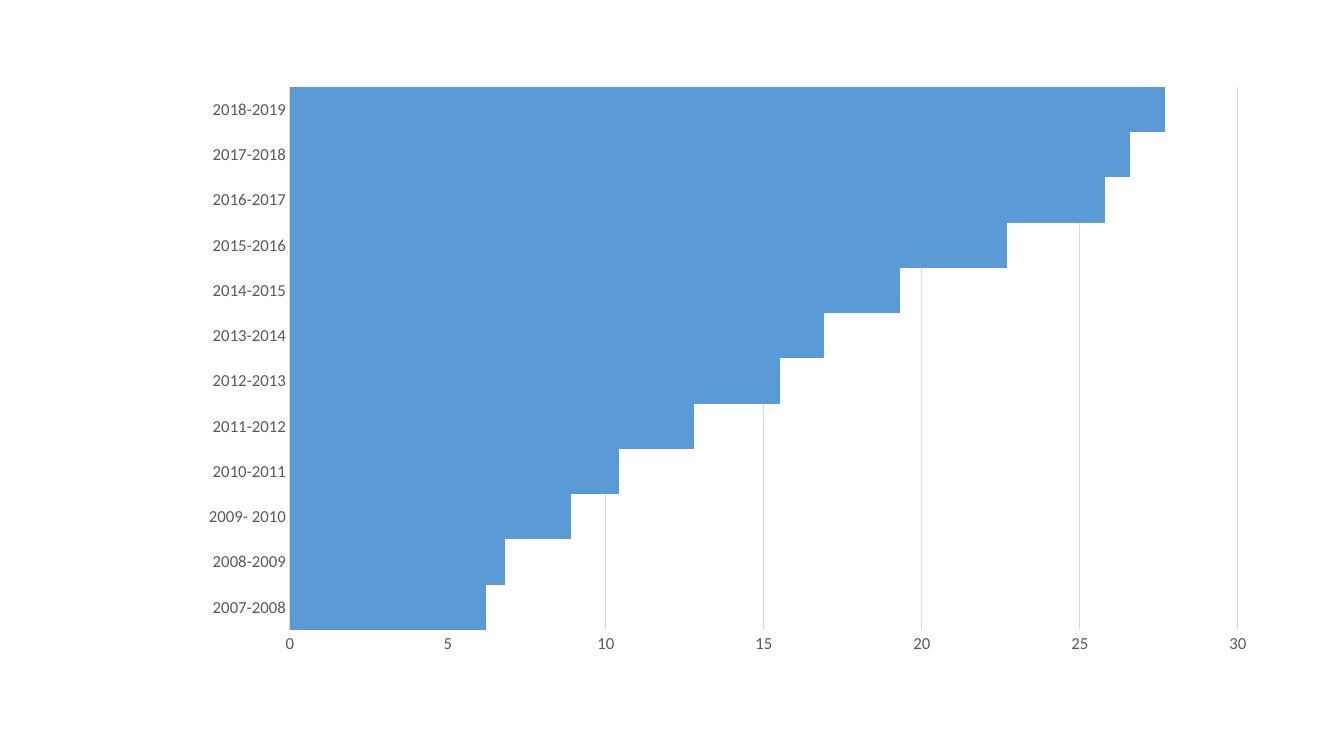
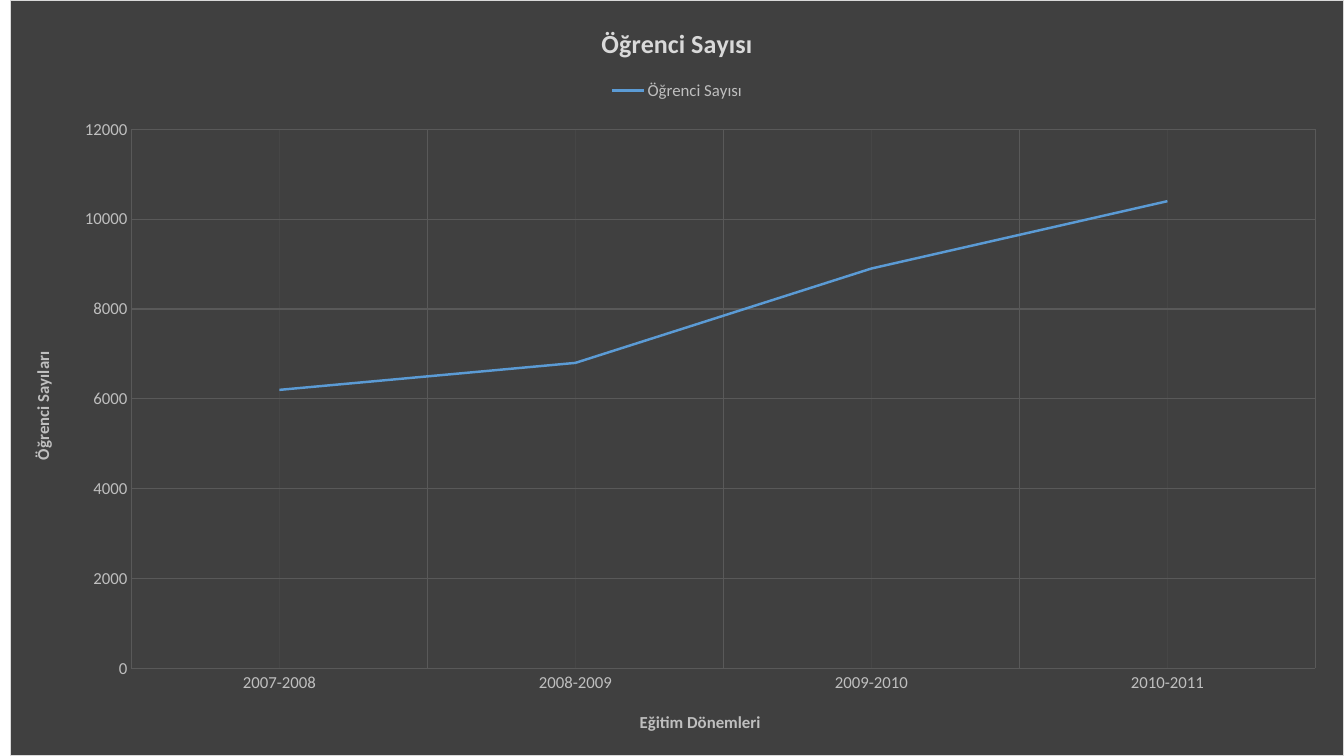
from lxml.etree import SubElement
from pptx import Presentation
from pptx.chart.data import CategoryChartData
from pptx.dml.color import RGBColor
from pptx.enum.chart import XL_CHART_TYPE, XL_LEGEND_POSITION, XL_TICK_MARK
from pptx.oxml import parse_xml
from pptx.oxml.ns import nsdecls, qn
from pptx.util import Emu, Pt

PX = 914400 / 100.8
FONT = "Calibri"
COLORS = {
    "series": "5B9BD5",
    "label": "595959",
    "rule": "D9D9D9",
    "panel": "404040",
    "panel_label": "BFBFBF",
    "panel_grid": "595959",
    "panel_minor": "464646",
}
YEARLY_COUNTS = {
    "2007-2008": 6.2, "2008-2009": 6.8, "2009- 2010": 8.9, "2010-2011": 10.4,
    "2011-2012": 12.8, "2012-2013": 15.5, "2013-2014": 16.9, "2014-2015": 19.3,
    "2015-2016": 22.7, "2016-2017": 25.8, "2017-2018": 26.6, "2018-2019": 27.7,
}
STUDENT_COUNTS = {
    "2007-2008": 6200, "2008-2009": 6800, "2009-2010": 8900, "2010-2011": 10400,
}


def px(length):
    return Emu(round(length * PX))


def rgb(name):
    return RGBColor.from_string(COLORS[name])


def format_font(font, size=12, color="label", bold=False):
    font.name = FONT
    font.size = Pt(size)
    font.bold = bold
    font.color.rgb = rgb(color)


def write_text(frame, text, **style):
    frame.text = text
    format_font(frame.paragraphs[0].runs[0].font, **style)


def format_line(line, color=None, width=0.75):
    if color is None:
        line.fill.background()
    else:
        line.color.rgb = rgb(color)
        line.width = Pt(width)


def place_plot(chart, box, plot):
    left, top, width, height = box
    plot_left, plot_top, plot_width, plot_height = plot
    area = chart.element.find(qn("c:chart")).find(qn("c:plotArea"))
    for old_layout in area.findall(qn("c:layout")):
        area.remove(old_layout)
    layout = parse_xml(f"<c:layout {nsdecls('c')}/>")
    area.insert(0, layout)
    manual = SubElement(layout, qn("c:manualLayout"))
    settings = {
        "layoutTarget": "inner", "xMode": "edge", "yMode": "edge",
        "x": (plot_left - left) / width, "y": (plot_top - top) / height,
        "w": plot_width / width, "h": plot_height / height,
    }
    for tag, value in settings.items():
        SubElement(manual, qn(f"c:{tag}")).set("val", str(value))


def shape_properties(line, fill=None):
    def solid(color):
        return f'<a:solidFill><a:srgbClr val="{COLORS[color]}"/></a:solidFill>'

    return parse_xml(
        f'<c:spPr {nsdecls("c", "a")}>{solid(fill) if fill else ""}'
        f'<a:ln w="{Pt(0.75)}">{solid(line)}</a:ln></c:spPr>')


def fill_panel(chart, fill, border):
    space = chart.element
    if space.find(qn("c:roundedCorners")) is None:
        space.find(qn("c:date1904")).addnext(
            parse_xml(f'<c:roundedCorners {nsdecls("c")} val="0"/>'))
    space.find(qn("c:chart")).addnext(shape_properties(border, fill))


def add_minor_grid(chart, axis, color):
    axis.has_minor_gridlines = True
    for grid in chart.element.iter(qn("c:minorGridlines")):
        grid.append(shape_properties(color))


def format_axis(axis, label, line=None, grid=None):
    axis.major_tick_mark = axis.minor_tick_mark = XL_TICK_MARK.NONE
    format_font(axis.tick_labels.font, color=label)
    format_line(axis.format.line, line)
    axis.has_major_gridlines = grid is not None
    if grid:
        format_line(axis.major_gridlines.format.line, grid)


def scale_axis(axis, maximum, step):
    axis.minimum_scale = 0
    axis.maximum_scale = maximum
    axis.major_unit = step
    axis.tick_labels.number_format = "0"
    axis.tick_labels.number_format_is_linked = False


def add_series_chart(slide, kind, box, plot, name, counts):
    data = CategoryChartData()
    data.categories = list(counts)
    data.add_series(name, list(counts.values()))
    chart = slide.shapes.add_chart(kind, *map(px, box), data).chart
    format_font(chart.font, size=10)
    chart.has_title = False
    chart.has_legend = False
    place_plot(chart, box, plot)
    return chart


def build_yearly_bars(slide, box):
    left, top, _, _ = box
    plot = (left + 102, top + 11, 948, 543)
    chart = add_series_chart(
        slide, XL_CHART_TYPE.BAR_CLUSTERED, box, plot, "Series 1", YEARLY_COUNTS)
    bars = chart.plots[0]
    bars.gap_width = 0
    bars.vary_by_categories = False
    fill = bars.series[0].format.fill
    fill.solid()
    fill.fore_color.rgb = rgb("series")
    format_axis(chart.category_axis, "label", line="rule")
    format_axis(chart.value_axis, "label", grid="rule")
    scale_axis(chart.value_axis, 30, 5)


def build_student_trend(slide, box):
    left, top, _, _ = box
    plot = (left + 121, top + 129, 1185, 540)
    name = "Öğrenci Sayısı"
    chart = add_series_chart(
        slide, XL_CHART_TYPE.LINE, box, plot, name, STUDENT_COUNTS)
    fill_panel(chart, "panel", "rule")
    chart.has_title = True
    write_text(chart.chart_title.text_frame, name, size=18.6, color="rule", bold=True)
    chart.has_legend = True
    chart.legend.position = XL_LEGEND_POSITION.TOP
    chart.legend.include_in_layout = False
    format_font(chart.legend.font, color="panel_label")

    chart.plots[0].vary_by_categories = False
    trend = chart.plots[0].series[0]
    trend.smooth = False
    format_line(trend.format.line, "series", 1.75)

    periods, students = chart.category_axis, chart.value_axis
    for axis, title in ((periods, "Eğitim Dönemleri"), (students, "Öğrenci Sayıları")):
        format_axis(axis, "panel_label", grid="panel_grid")
        write_text(axis.axis_title.text_frame, title, color="panel_label", bold=True)
    add_minor_grid(chart, periods, "panel_minor")
    scale_axis(students, 12000, 2000)
    title_frame = students.axis_title.text_frame
    for body in chart.element.iter(qn("a:bodyPr")):
        rich = body.getparent()
        if rich.tag == qn("c:rich") and "".join(rich.itertext()).strip() == title_frame.text:
            body.set("rot", "-5400000")
            body.set("vert", "horz")


def main():
    deck = Presentation()
    deck.slide_width, deck.slide_height = px(1344), px(756)
    blank = deck.slide_layouts[6]
    build_yearly_bars(deck.slides.add_slide(blank), (188, 76, 1081, 591))
    build_student_trend(deck.slides.add_slide(blank), (10, 0, 1334, 756))
    deck.save("out.pptx")


if __name__ == "__main__":
    main()
